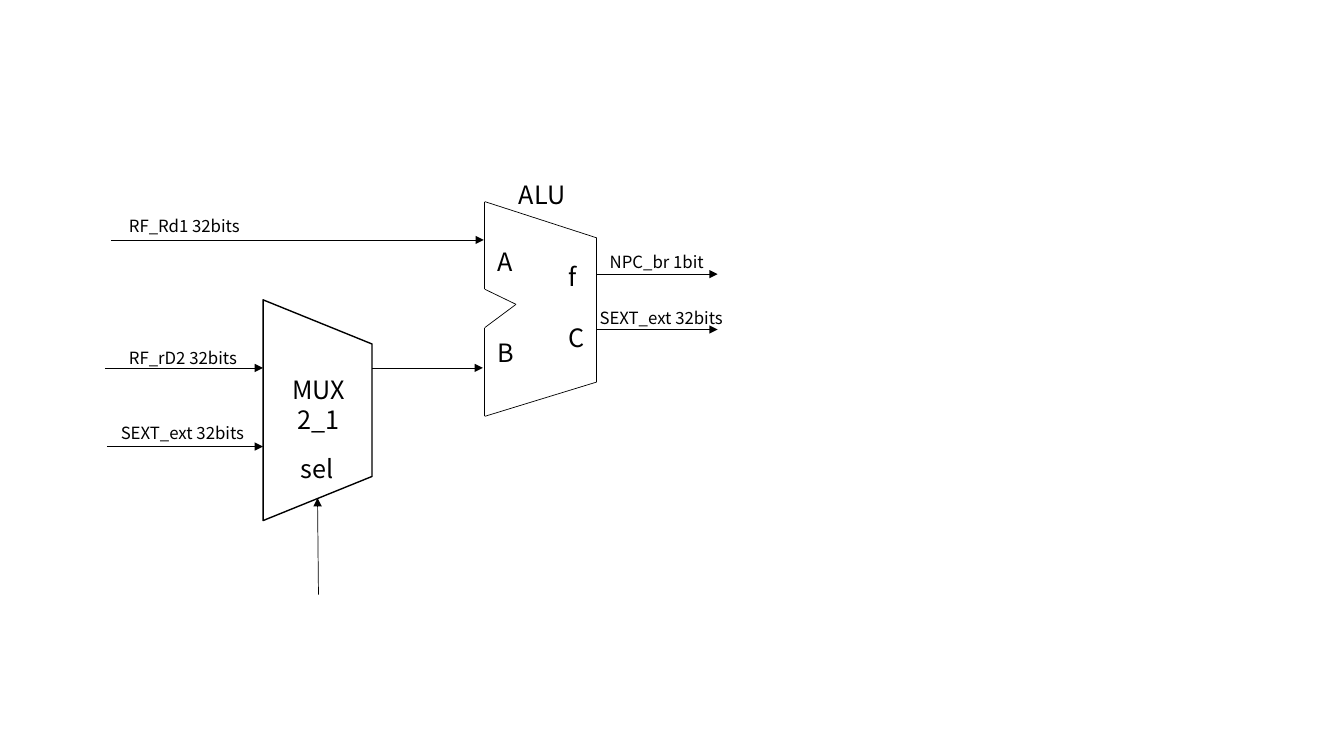
from dataclasses import dataclass
from itertools import pairwise

from lxml.etree import SubElement
from pptx import Presentation
from pptx.dml.color import RGBColor
from pptx.enum.shapes import MSO_CONNECTOR, MSO_SHAPE
from pptx.enum.text import MSO_AUTO_SIZE
from pptx.oxml.ns import qn
from pptx.slide import Slide
from pptx.util import Pt

COLORS = {"ink": "000000", "paper": "FFFFFF"}
FONT = "Noto Sans CJK SC"
LINE_PITCH = 1.2
FRAME_FORMAT = {
    "word_wrap": True,
    "auto_size": MSO_AUTO_SIZE.SHAPE_TO_FIT_TEXT,
    "margin_top": Pt(4.5),
    "margin_bottom": Pt(2.7),
}

Point = tuple[float, float]


@dataclass(frozen=True)
class Label:
    lines: tuple[str, ...]
    left: float
    top: float
    width: float
    size: float = 12
    gap_lines: int = 0  # empty line heights between two lines
    inset: float = 7.2


@dataclass(frozen=True)
class Wire:
    start: Point
    end: Point
    arrow: bool = True


ALU_LEFT, ALU_RIGHT = 346.3, 426.2
MUX_LEFT, MUX_RIGHT = 187.9, 265.7
MUX_MIDDLE = 293
MUX_HEIGHT = 157.7

ALU_OUTLINE = [
    (ALU_LEFT, 144), (ALU_RIGHT, 169.9), (ALU_RIGHT, 272.9), (ALU_LEFT, 297.4),
    (ALU_LEFT, 234), (368.6, 217.4), (ALU_LEFT, 206.6),
]

WIRES = [
    Wire((227.5, 424.8), (226.8, 355.7)),
    Wire((76.3, 319), (MUX_LEFT, 319)),
    Wire((74.9, 262.8), (MUX_LEFT, 262.8)),
    Wire((MUX_RIGHT, 262.8), (344.9, 262.8)),
    Wire((79.2, 171.4), (345.6, 171.4)),
    Wire((ALU_RIGHT, 195.8), (512.6, 195.8)),
    Wire((ALU_RIGHT, 235.4), (512.6, 235.4)),
]

LABELS = [
    Label(("MUX", " 2_1"), 201.6, 262.8, 64.8, 18),
    Label(("sel",), 207.4, 319, 51.8, 18),
    Label(("RF_rD2 32bits",), 85, 244.1, 141.8),
    Label(("SEXT_ext 32bits",), 79.2, 297.4, 141.8),
    Label(("A", "B"), 352.1, 171.4, 18, 18, gap_lines=2, inset=3),
    Label(("f", "C"), 398.9, 182.2, 27.4, 18, gap_lines=1),
    Label(("RF_Rd1 32bits",), 85, 149.8, 141.8),
    Label(("ALU",), 363.6, 123.8, 113.8, 18),
    Label(("SEXT_ext 32bits",), 421.2, 215.3, 229.7),
    Label(("NPC_br 1bit",), 428.4, 175, 87.1),
]


def color(name: str) -> RGBColor:
    return RGBColor.from_string(COLORS[name])


def add_mux(slide: Slide) -> None:
    """Draw the multiplexer as a trapezoid turned on its side."""
    depth = MUX_RIGHT - MUX_LEFT
    left = (MUX_LEFT + MUX_RIGHT - MUX_HEIGHT) / 2
    sp = slide.shapes.add_shape(
        MSO_SHAPE.FLOWCHART_MANUAL_OPERATION,
        Pt(left), Pt(MUX_MIDDLE - depth / 2), Pt(MUX_HEIGHT), Pt(depth))
    sp.rotation = 270
    sp.shadow.inherit = False
    sp.fill.solid()
    sp.fill.fore_color.rgb = color("paper")
    sp.line.color.rgb = color("ink")
    sp.line.width = Pt(1)


def add_wire(slide: Slide, wire: Wire) -> None:
    ends = [Pt(v) for v in (*wire.start, *wire.end)]
    cxn = slide.shapes.add_connector(MSO_CONNECTOR.STRAIGHT, *ends)
    cxn.line.color.rgb = color("ink")
    cxn.line.width = Pt(0.5)
    props = cxn.line._get_or_add_ln()
    if wire.arrow:
        SubElement(props, qn("a:tailEnd"), type="triangle")
    SubElement(props.getparent(), qn("a:effectLst"))


def add_label(slide: Slide, label: Label) -> None:
    pitch = LINE_PITCH * label.size
    count = len(label.lines) + label.gap_lines
    sp = slide.shapes.add_textbox(
        Pt(label.left), Pt(label.top), Pt(label.width), Pt(count * pitch + 7.2))
    tf = sp.text_frame
    insets = {"margin_left": Pt(label.inset), "margin_right": Pt(label.inset)}
    for name, value in (FRAME_FORMAT | insets).items():
        setattr(tf, name, value)
    for i, line in enumerate(label.lines):
        p = tf.add_paragraph() if i else tf.paragraphs[0]
        p.line_spacing = Pt(pitch)
        if i:
            p.space_before = Pt(label.gap_lines * pitch)
        r = p.add_run()
        r.text = line
        for name, value in {"name": FONT, "size": Pt(label.size)}.items():
            setattr(r.font, name, value)
        r.font.color.rgb = color("ink")


def main() -> None:
    prs = Presentation()
    prs.slide_width, prs.slide_height = Pt(960), Pt(540)
    slide = prs.slides.add_slide(prs.slide_layouts[6])
    add_mux(slide)
    edges = pairwise([*ALU_OUTLINE, ALU_OUTLINE[0]])
    for wire in [Wire(a, b, arrow=False) for a, b in edges] + WIRES:
        add_wire(slide, wire)
    for label in LABELS:
        add_label(slide, label)
    prs.save("out.pptx")


if __name__ == "__main__":
    main()
